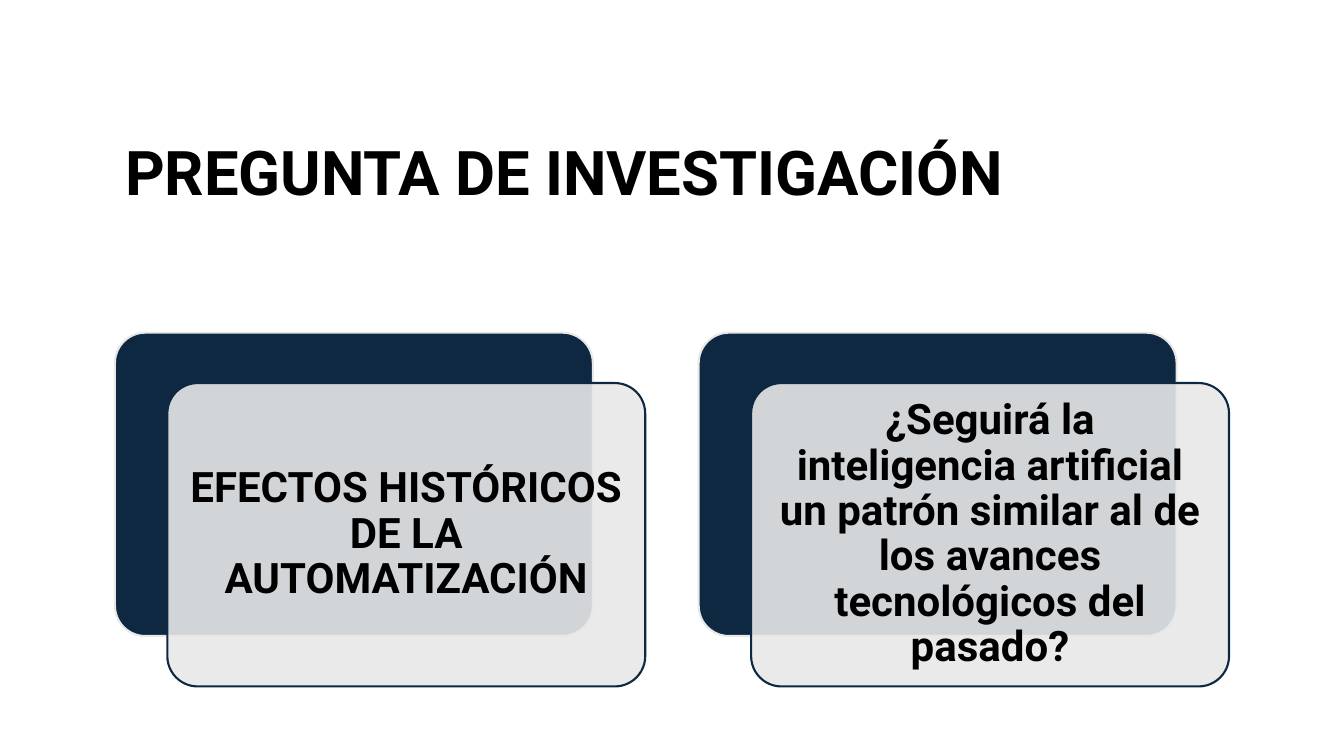
from dataclasses import dataclass

from lxml.etree import SubElement
from pptx import Presentation
from pptx.dml.color import RGBColor
from pptx.enum.shapes import MSO_SHAPE
from pptx.enum.text import MSO_ANCHOR, MSO_AUTO_SIZE, PP_ALIGN
from pptx.oxml.ns import qn
from pptx.shapes.autoshape import Shape
from pptx.slide import Slide
from pptx.text.text import TextFrame
from pptx.util import Inches, Pt

NAVY = RGBColor(0x0E, 0x28, 0x41)
LIGHT = RGBColor(0xE8, 0xE8, 0xE8)
BLACK = RGBColor(0, 0, 0)

CARD_W, CARD_H = 4.74, 3.01
CARD_TOP = 3.3
FRONT_DX, FRONT_DY = 0.52, 0.5
INSET = 0.12


@dataclass
class Card:
    left: float
    text: str


CARDS = [
    Card(1.14, "EFECTOS HISTÓRICOS DE LA AUTOMATIZACIÓN"),
    Card(6.93, "¿Seguirá la inteligencia artificial un patrón similar al de "
               "los avances tecnológicos del pasado?"),
]


def write_text(tf: TextFrame, text: str, size: int, align: PP_ALIGN) -> None:
    frame_format = {
        "text": text,
        "word_wrap": True,
        "auto_size": MSO_AUTO_SIZE.NONE,
        "vertical_anchor": MSO_ANCHOR.MIDDLE,
    }
    for name, value in frame_format.items():
        setattr(tf, name, value)
    p = tf.paragraphs[0]
    p.alignment = align
    p.line_spacing = 0.9
    font = p.runs[0].font
    for name, value in {"name": "Roboto", "size": Pt(size), "bold": True}.items():
        setattr(font, name, value)
    font.color.rgb = BLACK


def add_panel(s: Slide, left: float, top: float, fill: RGBColor, line: RGBColor) -> Shape:
    sp = s.shapes.add_shape(MSO_SHAPE.ROUNDED_RECTANGLE, Inches(left), Inches(top),
                            Inches(CARD_W), Inches(CARD_H))
    sp.adjustments[0] = 0.1
    sp.shadow.inherit = False
    sp.fill.solid()
    sp.fill.fore_color.rgb = fill
    sp.line.color.rgb = line
    sp.line.width = Pt(1.5)
    return sp


def set_opacity(sp: Shape, percent: int) -> None:
    color = sp.fill._xPr.find(qn("a:solidFill")).find(qn("a:srgbClr"))
    SubElement(color, qn("a:alpha"), val=str(percent * 1000))


def add_card(s: Slide, card: Card) -> None:
    """Draw a dark panel with a translucent text panel offset over it."""
    add_panel(s, card.left, CARD_TOP, NAVY, LIGHT)
    front = add_panel(s, card.left + FRONT_DX, CARD_TOP + FRONT_DY, LIGHT, NAVY)
    set_opacity(front, 90)
    tf = front.text_frame
    for side in ("left", "top", "right", "bottom"):
        setattr(tf, f"margin_{side}", Inches(INSET))
    write_text(tf, card.text, 30, PP_ALIGN.CENTER)


def add_title(s: Slide, text: str) -> None:
    title = s.shapes.title
    box = {"left": 1.14, "top": 0.89, "width": 11.13, "height": 1.7}
    for name, value in box.items():
        setattr(title, name, Inches(value))
    write_text(title.text_frame, text, 44, PP_ALIGN.LEFT)


def main() -> None:
    prs = Presentation()
    prs.slide_width, prs.slide_height = Inches(13.33), Inches(7.5)
    s = prs.slides.add_slide(prs.slide_layouts.get_by_name("Title Only"))
    add_title(s, "PREGUNTA DE INVESTIGACIÓN")
    for card in CARDS:
        add_card(s, card)
    prs.save("out.pptx")


if __name__ == "__main__":
    main()
